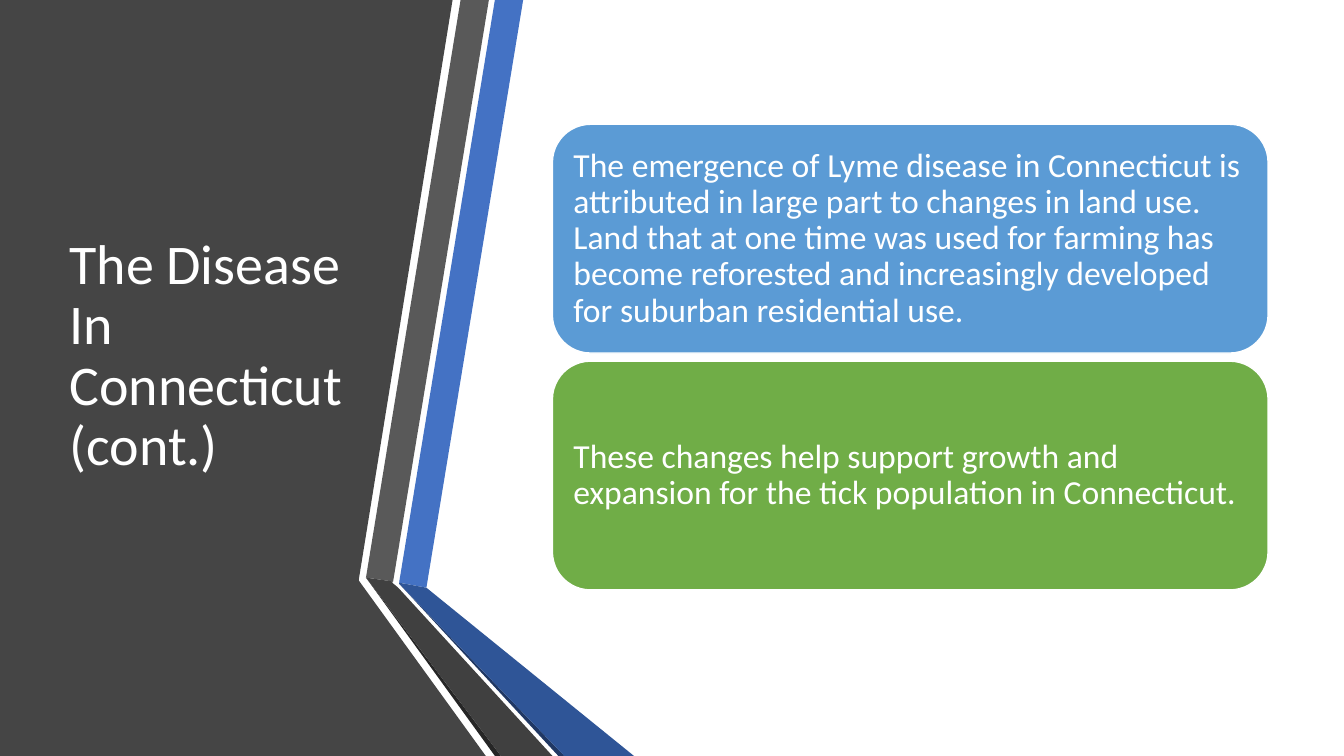
from pptx import Presentation
from pptx.dml.color import RGBColor
from pptx.enum import shapes, text
from pptx.util import Pt

COLORS = {
    "white": "FFFFFF",
    "panel": "454545",
    "blue": "4472C4",
    "grey": "595959",
    "black": "262626",
    "navy": "203864",
    "dark_blue": "2F5597",
    "charcoal": "404040",
    "sky": "5B9BD5",
    "green": "70AD47",
}
FONT = "Calibri"

RIBBONS = [
    ("panel", [(0, 0), (323.3, 0), (256.3, 414), (256.3, 414.7), (347, 540), (0, 540)]),
    ("blue", [(285.1, 416.2), (304.6, 419.8), (373.7, 0), (353.5, 0)]),
    ("grey", [(349.2, 0), (329, 0), (261.4, 412.6), (280.8, 415.4)]),
    ("black", [(261.4, 412.6), (353.5, 540), (357.8, 540)]),
    ("navy", [(285.1, 416.9), (398.9, 540), (403.2, 540)]),
    ("dark_blue", [(285.1, 416.9), (403.2, 540), (452.9, 540), (304.6, 419.8), (285.1, 416.2)]),
    ("charcoal", [(394.6, 540), (284.4, 419.8), (280.1, 416.2), (280.8, 415.4),
                  (261.4, 412.6), (357.8, 540)]),
]

CARDS = [
    ("sky", "The emergence of Lyme disease in Connecticut is attributed in large part to "
            "changes in land use. Land that at one time was used for farming has become "
            "reforested and increasingly developed for suburban residential use."),
    ("green", "These changes help support growth and expansion for the tick population "
              "in Connecticut."),
]
CARD_LEFT, CARD_TOP, CARD_WIDTH, CARD_HEIGHT, CARD_PITCH = 394.6, 88.8, 511.2, 163.4, 169.2


def color(name):
    return RGBColor.from_string(COLORS[name])


def fill_shape(shape, name):
    shape.shadow.inherit = False
    shape.fill.solid()
    shape.fill.fore_color.rgb = color(name)


def write_text(shape, content, size):
    frame = shape.text_frame
    frame.text = content
    frame.word_wrap = True
    frame.auto_size = text.MSO_AUTO_SIZE.NONE
    frame.vertical_anchor = text.MSO_ANCHOR.MIDDLE
    paragraph = frame.paragraphs[0]
    paragraph.alignment = text.PP_ALIGN.LEFT
    paragraph.line_spacing = 0.9
    font = paragraph.runs[0].font
    font.name = FONT
    font.size = Pt(size)
    font.color.rgb = color("white")


def add_ribbon(slide, name, points):
    corners = [(Pt(x), Pt(y)) for x, y in points]
    builder = slide.shapes.build_freeform(*corners[0])
    builder.add_line_segments(corners[1:], close=True)
    shape = builder.convert_to_shape()
    fill_shape(shape, name)
    shape.line.fill.background()


def add_title(slide, content):
    title = slide.shapes.title
    title.left, title.top, title.width, title.height = Pt(42.5), Pt(54), Pt(218.9), Pt(401.8)
    write_text(title, content, 40)
    slide.shapes._spTree.append(title._element)


def add_card(slide, index, name, content):
    card = slide.shapes.add_shape(
        shapes.MSO_SHAPE.ROUNDED_RECTANGLE,
        Pt(CARD_LEFT), Pt(CARD_TOP + index * CARD_PITCH), Pt(CARD_WIDTH), Pt(CARD_HEIGHT))
    fill_shape(card, name)
    card.line.color.rgb = color("white")
    card.line.width = Pt(1)
    frame = card.text_frame
    frame.margin_left = frame.margin_right = Pt(7.2)
    frame.margin_top = frame.margin_bottom = Pt(7.2)
    write_text(card, content, 24)


def main():
    presentation = Presentation()
    presentation.slide_width, presentation.slide_height = Pt(960), Pt(540)
    slide = presentation.slides.add_slide(presentation.slide_layouts[5])
    for name, points in RIBBONS:
        add_ribbon(slide, name, points)
    add_title(slide, "The Disease In Connecticut (cont.)")
    for index, (name, content) in enumerate(CARDS):
        add_card(slide, index, name, content)
    presentation.save("out.pptx")


if __name__ == "__main__":
    main()
